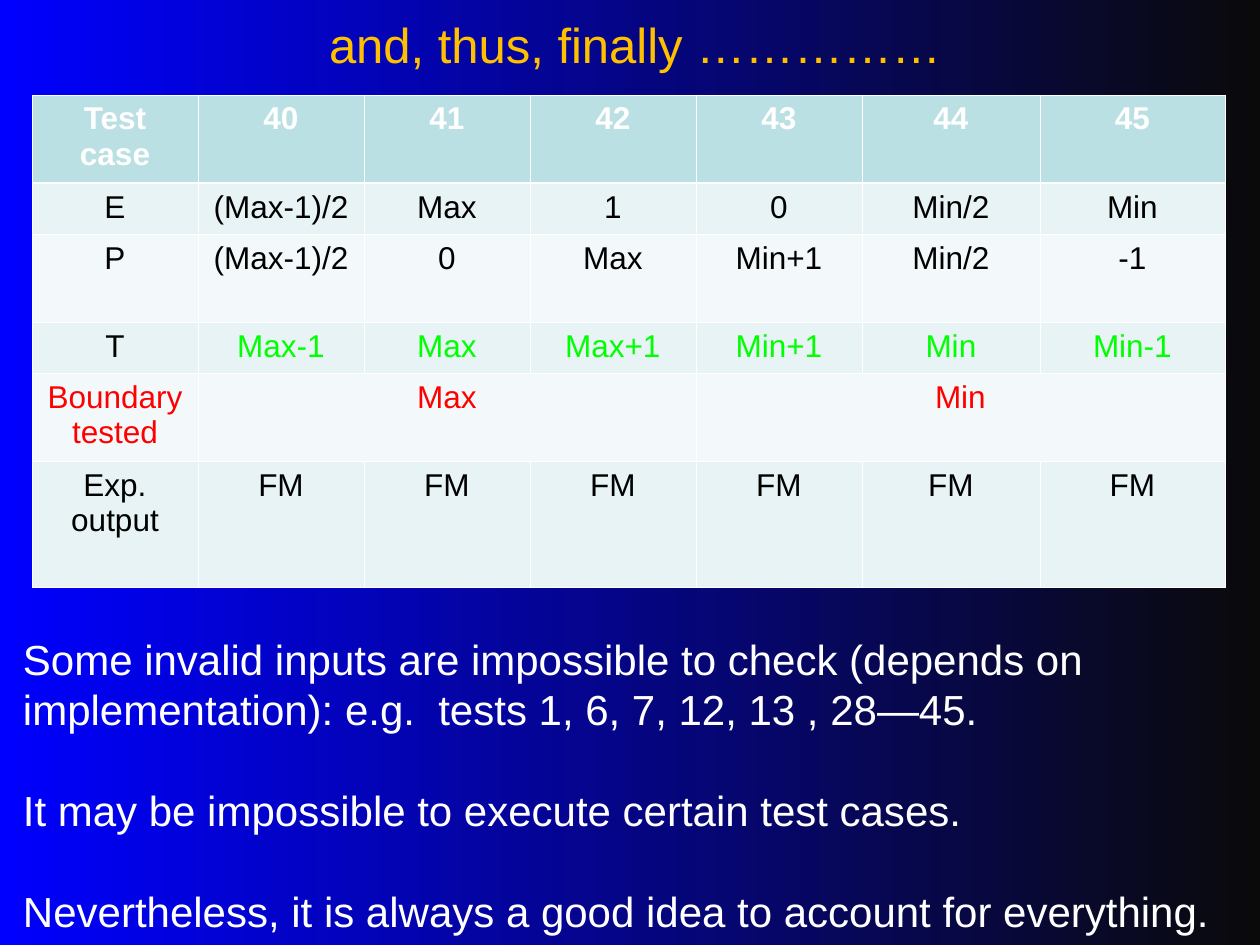
from lxml import etree
from pptx import Presentation
from pptx import util as u
from pptx.dml.color import RGBColor
from pptx.enum import text
from pptx.oxml.ns import qn

PX = u.Inches(1) / 126
FONT = "Arial"
BLUE = RGBColor(0x00, 0x00, 0xFF)
NEAR_BLACK = RGBColor(0x0A, 0x0A, 0x0A)
GOLD = RGBColor(0xFF, 0xC0, 0x00)
WHITE = RGBColor(0xFF, 0xFF, 0xFF)
BLACK = RGBColor(0x00, 0x00, 0x00)
GREEN = RGBColor(0x00, 0xFF, 0x00)
RED = RGBColor(0xFF, 0x00, 0x00)
HEADER_FILL = RGBColor(0xBB, 0xE0, 0xE3)
BAND_FILLS = [RGBColor(0xF3, 0xF9, 0xFA), RGBColor(0xE7, 0xF3, 0xF4)]

TITLE = "and, thus, finally ……………"
COLUMN_WIDTHS = [166, 166, 166, 166, 166, 178, 185]
# each row: height, label colour, value colour, cells
ROWS = [
    (88, WHITE, WHITE, ["Test case", "40", "41", "42", "43", "44", "45"]),
    (51, BLACK, BLACK, ["E", "(Max-1)/2", "Max", "1", "0", "Min/2", "Min"]),
    (88, BLACK, BLACK, ["P", "(Max-1)/2", "0", "Max", "Min+1", "Min/2", "-1"]),
    (51, BLACK, GREEN, ["T", "Max-1", "Max", "Max+1", "Min+1", "Min", "Min-1"]),
    (88, RED, RED, ["Boundary tested", "Max", "", "", "Min", "", ""]),
    (126, BLACK, BLACK, ["Exp. output"] + ["FM"] * 6),
]
MERGES = [(4, 1, 3), (4, 4, 6)]
NOTES = [
    "Some invalid inputs are impossible to check (depends on "
    "implementation): e.g.  tests 1, 6, 7, 12, 13 , 28—45.",
    "It may be impossible to execute certain test cases.",
    "Nevertheless, it is always a good idea to account for everything.",
]


def px(value):
    return u.Emu(round(value * PX))


def style(paragraph, size, color, bold=False):
    font = paragraph.font
    font.name, font.size, font.bold = FONT, u.Pt(size), bold
    font.color.rgb = color


def add_text(slide, left, top, width, height):
    frame = slide.shapes.add_textbox(px(left), px(top), px(width), px(height)).text_frame
    frame.word_wrap = True
    return frame


def set_borders(cell, widths):
    properties = cell._tc.get_or_add_tcPr()
    for side, width in widths.items():
        line = etree.SubElement(properties, qn(f"a:ln{side}"), w=str(u.Pt(width)))
        fill = etree.SubElement(line, qn("a:solidFill"))
        etree.SubElement(fill, qn("a:srgbClr"), val=str(WHITE))


def add_title(slide):
    frame = add_text(slide, 10, 0, 1250, 87)
    frame.vertical_anchor = text.MSO_ANCHOR.MIDDLE
    paragraph = frame.paragraphs[0]
    paragraph.text = TITLE
    paragraph.alignment = text.PP_ALIGN.CENTER
    style(paragraph, 28, GOLD)


def add_test_table(slide):
    heights = [row[0] for row in ROWS]
    table = slide.shapes.add_table(
        len(ROWS), len(COLUMN_WIDTHS), px(32), px(95),
        px(sum(COLUMN_WIDTHS)), px(sum(heights))).table
    for column, width in zip(table.columns, COLUMN_WIDTHS):
        column.width = px(width)
    for r, (height, label_color, value_color, values) in enumerate(ROWS):
        table.rows[r].height = px(height)
        for c, value in enumerate(values):
            cell = table.cell(r, c)
            set_borders(cell, {"L": 0.45, "R": 0.45,
                               "T": 1.47 if r == 1 else 0.45,
                               "B": 1.47 if r == 0 else 0.45})
            cell.fill.solid()
            cell.fill.fore_color.rgb = BAND_FILLS[r % 2] if r else HEADER_FILL
            paragraph = cell.text_frame.paragraphs[0]
            paragraph.text = value
            paragraph.alignment = text.PP_ALIGN.CENTER
            style(paragraph, 18, value_color if c else label_color, r == 0)
    for row, first, last in MERGES:
        table.cell(row, first).merge(table.cell(row, last))


def add_notes(slide):
    frame = add_text(slide, -1, 627, 1260, 315)
    frame.margin_left = px(24)
    for index, note in enumerate(NOTES):
        paragraph = frame.add_paragraph() if index else frame.paragraphs[0]
        paragraph.text = note
        paragraph.line_spacing = u.Pt(28.8)
        if index:
            paragraph.space_before = u.Pt(28.8)
        style(paragraph, 24, WHITE)


def main():
    presentation = Presentation()
    presentation.slide_width, presentation.slide_height = px(1260), px(945)
    slide = presentation.slides.add_slide(presentation.slide_layouts[6])
    background = slide.background.fill
    background.gradient()
    background.gradient_angle = 0
    for stop, color in zip(background.gradient_stops, (BLUE, NEAR_BLACK)):
        stop.color.rgb = color
    add_title(slide)
    add_test_table(slide)
    add_notes(slide)
    presentation.save("out.pptx")


if __name__ == "__main__":
    main()
